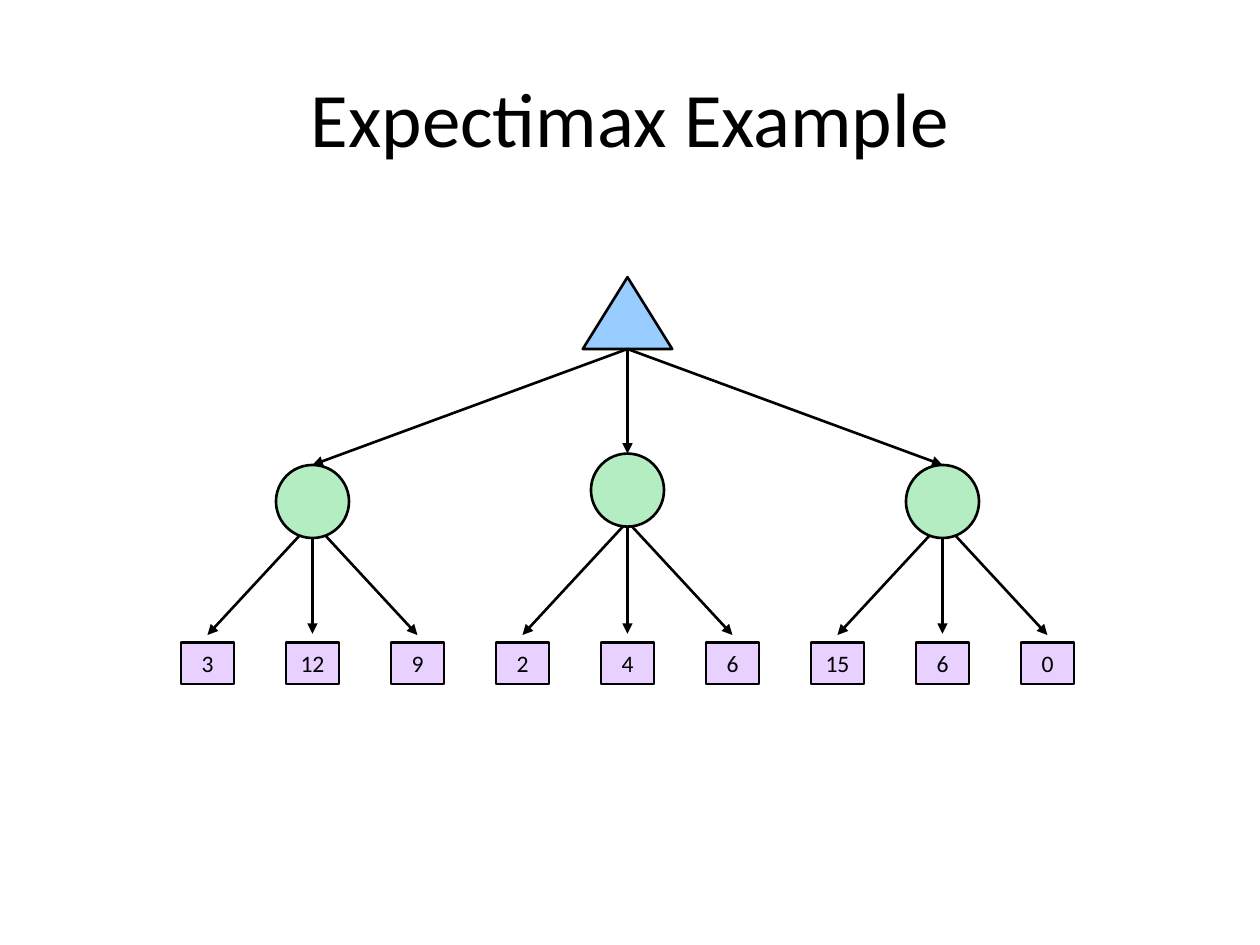
import pptx
import pptx.dml.color
import pptx.enum.shapes
import pptx.enum.text
import pptx.oxml
import pptx.oxml.ns
import pptx.util
from pptx.util import Inches

TITLE = "Expectimax Example"
# Each chance node: top of its circle and the values of its leaves.
CHANCE_NODES = [
    (3.69, ["3", "12", "9"]),
    (3.6, ["2", "4", "6"]),
    (3.69, ["15", "6", "0"]),
]

THEME = {
    "font": "Calibri",
    "title_size": 44,
    "leaf_size": 13.5,
    "ink": "000000",
    "root": "99CCFF",
    "chance": "B5EDC2",
    "leaf": "E8D1FF",
    "line_width": 1.5,
}

CENTER_X = 4.98
NODE_GAP = 2.5
LEAF_GAP = NODE_GAP / 3
ROOT_TOP, ROOT_WIDTH, ROOT_HEIGHT = 2.2, 0.71, 0.57
CIRCLE_SIZE = 0.58
BRANCH_Y = 4.14  # leaf arrows start behind the circle
ARROW_END_MIDDLE, ARROW_END_SIDE = 5.03, 5.04
LEAF_TOP, LEAF_WIDTH, LEAF_HEIGHT = 5.1, 0.42, 0.33

SHAPES = pptx.enum.shapes.MSO_SHAPE


def color(name):
    return pptx.dml.color.RGBColor.from_string(THEME[name])


def set_outline(line):
    line.color.rgb = color("ink")
    line.width = pptx.util.Pt(THEME["line_width"])


def write_centered(shape, text, size, wrap):
    frame = shape.text_frame
    frame.word_wrap = wrap
    frame.vertical_anchor = pptx.enum.text.MSO_ANCHOR.MIDDLE
    paragraph = frame.paragraphs[0]
    paragraph.alignment = pptx.enum.text.PP_ALIGN.CENTER
    run = paragraph.add_run()
    run.text = text
    run.font.name = THEME["font"]
    run.font.size = pptx.util.Pt(THEME[size])
    run.font.color.rgb = color("ink")


def add_node(slide, kind, fill, center_x, top, width, height):
    shape = slide.shapes.add_shape(
        kind, Inches(center_x - width / 2), Inches(top), Inches(width), Inches(height)
    )
    shape.shadow.inherit = False
    shape.fill.solid()
    shape.fill.fore_color.rgb = color(fill)
    set_outline(shape.line)
    return shape


def add_arrow(slide, start, end):
    arrow = slide.shapes.add_connector(
        pptx.enum.shapes.MSO_CONNECTOR.STRAIGHT, *map(Inches, start + end)
    )
    set_outline(arrow.line)
    head = pptx.oxml.parse_xml(
        f'<a:tailEnd {pptx.oxml.ns.nsdecls("a")} type="triangle"/>'
    )
    arrow.line._get_or_add_ln().append(head)
    effects = pptx.oxml.parse_xml(f'<a:effectLst {pptx.oxml.ns.nsdecls("a")}/>')
    arrow._element.spPr.append(effects)
    return arrow


def add_chance_branch(slide, node_x, circle_top, values):
    """Draw a chance node with its leaves and the arrow from the root."""
    for position, value in enumerate(values, start=-1):
        leaf_x = node_x + position * LEAF_GAP
        arrow_end = ARROW_END_SIDE if position else ARROW_END_MIDDLE
        add_arrow(slide, (node_x, BRANCH_Y), (leaf_x, arrow_end))
        leaf = add_node(slide, SHAPES.RECTANGLE, "leaf", leaf_x, LEAF_TOP,
                        LEAF_WIDTH, LEAF_HEIGHT)
        write_centered(leaf, value, "leaf_size", wrap=False)
    circle = add_node(slide, SHAPES.OVAL, "chance", node_x, circle_top,
                      CIRCLE_SIZE, CIRCLE_SIZE)
    root_arrow = add_arrow(slide, (CENTER_X, ROOT_TOP + ROOT_HEIGHT),
                           (node_x, circle_top))
    root_arrow.end_connect(circle, 0)


def main():
    presentation = pptx.Presentation()
    presentation.slide_width = Inches(10)
    presentation.slide_height = Inches(7.5)
    slide = presentation.slides.add_slide(presentation.slide_layouts[6])

    title = slide.shapes.add_textbox(Inches(0.5), Inches(0.3), Inches(9), Inches(1.25))
    write_centered(title, TITLE, "title_size", wrap=True)

    add_node(slide, SHAPES.ISOSCELES_TRIANGLE, "root", CENTER_X, ROOT_TOP,
             ROOT_WIDTH, ROOT_HEIGHT)
    for position, (circle_top, values) in enumerate(CHANCE_NODES, start=-1):
        add_chance_branch(slide, CENTER_X + position * NODE_GAP, circle_top, values)

    presentation.save("out.pptx")


if __name__ == "__main__":
    main()
